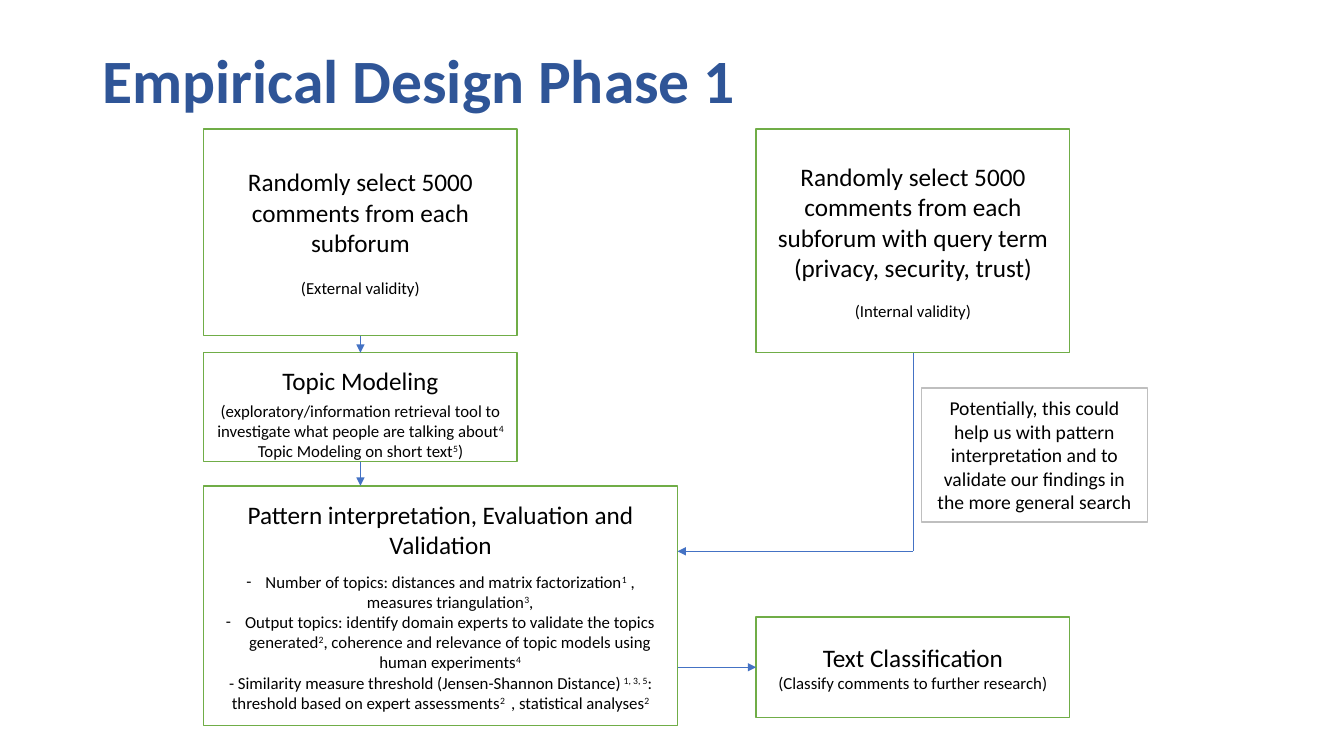
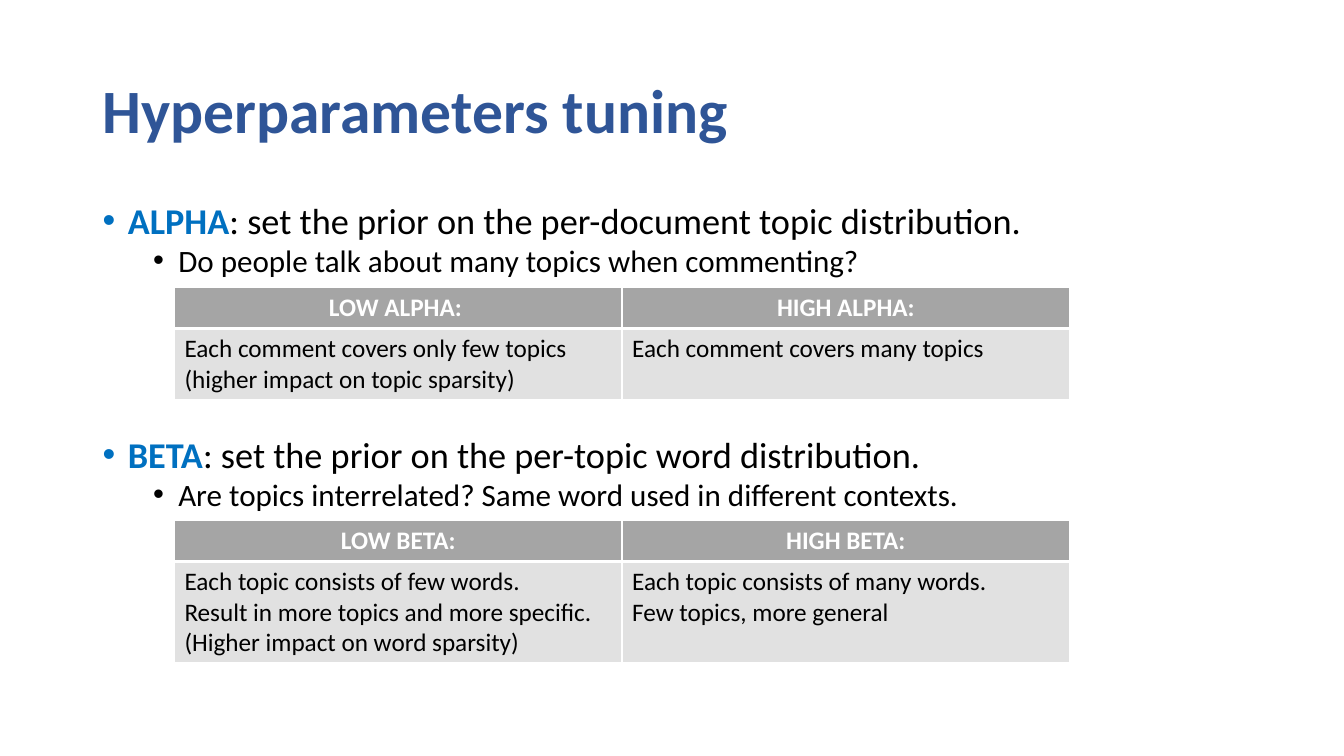
from dataclasses import dataclass

from lxml.etree import SubElement
from pptx import Presentation
from pptx.dml.color import RGBColor
from pptx.enum.shapes import MSO_CONNECTOR, MSO_SHAPE
from pptx.enum.text import MSO_ANCHOR, PP_ALIGN
from pptx.oxml import parse_xml
from pptx.oxml.ns import nsdecls, qn
from pptx.util import Inches, Pt

FONT = "Calibri"
BLACK = RGBColor(0x00, 0x00, 0x00)
WHITE = RGBColor(0xFF, 0xFF, 0xFF)
TITLE_BLUE = RGBColor(0x2F, 0x55, 0x97)
TERM_BLUE = RGBColor(0x00, 0x70, 0xC0)
ARROW_BLUE = RGBColor(0x44, 0x72, 0xC4)
GREEN = RGBColor(0x70, 0xAD, 0x47)
NOTE_GREY = RGBColor(0xBF, 0xBF, 0xBF)
HEAD_GREY = RGBColor(0xA5, 0xA5, 0xA5)
CELL_GREY = RGBColor(0xE1, 0xE1, 0xE1)


@dataclass
class Para:
    """Text between ^ marks is superscript; term is a bold blue lead-in."""
    text: str
    size: float = 12
    before: float = 0
    term: str = ""
    bullet: str = ""
    bullet_font: str = FONT
    margin: float = 0
    hang: float = 0
    spacing: float = 1.0
    align: PP_ALIGN = PP_ALIGN.CENTER
    color: RGBColor = BLACK
    bold: bool = False


@dataclass
class Box:
    left: float
    top: float
    width: float
    height: float
    paras: list[Para]
    line: RGBColor = GREEN
    inset_top: float = 0.05
    inset_bottom: float = 0.05


@dataclass
class Line:
    x1: float
    y1: float
    x2: float
    y2: float
    arrow: bool = True


@dataclass
class Grid:
    top: float
    body_height: float
    heads: list[str]
    cells: list[list[str]]


# Text
def add_run(p, text: str, para: Para, color: RGBColor, bold: bool):
    r = p.add_run()
    r.text = text
    r.font.name, r.font.size = FONT, Pt(para.size)
    r.font.color.rgb, r.font.bold = color, bold
    return r


def fill_text(tf, paras: list[Para]) -> None:
    tf.word_wrap = True
    for i, para in enumerate(paras):
        p = tf.add_paragraph() if i else tf.paragraphs[0]
        p.alignment, p.line_spacing = para.align, para.spacing
        p.space_before = Pt(para.before)
        if para.bullet:
            pPr = p._p.get_or_add_pPr()
            pPr.set("marL", str(Inches(para.margin)))
            pPr.set("indent", str(-Inches(para.hang)))
            SubElement(pPr, qn("a:buFont")).set("typeface", para.bullet_font)
            SubElement(pPr, qn("a:buChar")).set("char", para.bullet)
        if para.term:
            add_run(p, para.term, para, TERM_BLUE, True)
        for n, part in enumerate(para.text.split("^")):
            if part:
                r = add_run(p, part, para, para.color, para.bold)
                if n % 2:
                    r._r.get_or_add_rPr().set("baseline", "30000")


def add_text(s, left: float, top: float, width: float, height: float,
             paras: list[Para], anchor=MSO_ANCHOR.TOP) -> None:
    tb = s.shapes.add_textbox(Inches(left), Inches(top), Inches(width), Inches(height))
    tb.text_frame.vertical_anchor = anchor
    fill_text(tb.text_frame, paras)


def add_titled_slide(prs, title: str, top: float):
    s = prs.slides.add_slide(prs.slide_layouts[6])
    add_text(s, 0.92, top, 11.5, 1.45,
             [Para(title, 44, spacing=0.9, align=PP_ALIGN.LEFT, color=TITLE_BLUE, bold=True)],
             MSO_ANCHOR.MIDDLE)
    return s


# Flow chart parts
def draw_box(s, box: Box) -> None:
    sp = s.shapes.add_shape(MSO_SHAPE.RECTANGLE, Inches(box.left), Inches(box.top),
                            Inches(box.width), Inches(box.height))
    sp.shadow.inherit = False
    sp.fill.solid()
    sp.fill.fore_color.rgb = WHITE
    sp.line.color.rgb, sp.line.width = box.line, Pt(1)
    tf = sp.text_frame
    tf.vertical_anchor = MSO_ANCHOR.MIDDLE
    tf.margin_top, tf.margin_bottom = Inches(box.inset_top), Inches(box.inset_bottom)
    fill_text(tf, box.paras)


def draw_line(s, line: Line) -> None:
    c = s.shapes.add_connector(MSO_CONNECTOR.STRAIGHT, Inches(line.x1), Inches(line.y1),
                               Inches(line.x2), Inches(line.y2))
    c.line.color.rgb, c.line.width = ARROW_BLUE, Pt(0.5)
    if line.arrow:
        SubElement(c.line._get_or_add_ln(), qn("a:tailEnd")).set("type", "triangle")
    SubElement(c._element.spPr, qn("a:effectLst"))


# Tables
def style_cell(cell, fill: RGBColor, bottom: float, top: float) -> None:
    cell.fill.solid()
    cell.fill.fore_color.rgb = fill
    tcPr = cell._tc.get_or_add_tcPr()
    for i, (side, width) in enumerate((("L", 1), ("R", 1), ("T", top), ("B", bottom))):
        tcPr.insert(i, parse_xml(
            f'<a:ln{side} {nsdecls("a")} w="{Pt(width)}"><a:solidFill>'
            f'<a:srgbClr val="{WHITE}"/></a:solidFill></a:ln{side}>'))


def draw_grid(s, grid: Grid) -> None:
    heights = (0.41, grid.body_height)
    table = s.shapes.add_table(2, 2, Inches(1.73), Inches(grid.top),
                               Inches(8.88), Inches(sum(heights))).table
    for row, height in zip(table.rows, heights):
        row.height = Inches(height)
    for i, (head, lines) in enumerate(zip(grid.heads, grid.cells)):
        table.columns[i].width = Inches(4.44)
        top, body = table.cell(0, i), table.cell(1, i)
        fill_text(top.text_frame, [Para(head, 18, color=WHITE, bold=True)])
        fill_text(body.text_frame, [Para(t, 18, align=PP_ALIGN.LEFT) for t in lines])
        style_cell(top, HEAD_GREY, bottom=3, top=1)
        style_cell(body, CELL_GREY, bottom=1, top=3)


# Content
LEFT, RIGHT, WIDTH = 2.02, 7.5, 3.11
LEFT_MID, RIGHT_MID = LEFT + WIDTH / 2, RIGHT + WIDTH / 2
PATTERN_WIDTH = 4.7
PATTERN_EDGE = LEFT + PATTERN_WIDTH


def dash(text: str, before: float = 0) -> Para:
    return Para(text, before=before, bullet="-", margin=0.19, hang=0.19)


BOXES = [
    Box(LEFT, 1.28, WIDTH, 2.05, [
        Para("Randomly select 5000 comments from each subforum", 18),
        Para("(External validity)", before=14.6)]),
    Box(RIGHT, 1.28, WIDTH, 2.22, [
        Para("Randomly select 5000 comments from each subforum with query term "
             "(privacy, security, trust)", 18),
        Para("(Internal validity)", before=12.8)]),
    Box(LEFT, 3.5, WIDTH, 1.08, [
        Para("Topic Modeling", 18),
        Para("(exploratory/information retrieval tool to investigate what people "
             "are talking about^4^", before=3.7),
        Para("Topic Modeling on short text^5^)")], inset_top=0.12, inset_bottom=0),
    Box(RIGHT, 6.12, WIDTH, 1, [
        Para("Text Classification", 18),
        Para("(Classify comments to further research)")]),
    Box(LEFT, 4.82, PATTERN_WIDTH, 2.38, [
        Para("Pattern interpretation, Evaluation and Validation", 18),
        dash("Number of topics: distances and matrix factorization^1^ , "
             "measures triangulation^3^,", before=8.5),
        dash("Output topics: identify domain experts to validate the topics generated^2^, "
             "coherence and relevance of topic models using human experiments^4^"),
        Para("- Similarity measure threshold (Jensen-Shannon Distance)^ 1, 3, 5^: threshold "
             "based on expert assessments^2 ^ , statistical analyses^2^")]),
    Box(9.14, 3.85, 2.24, 1.33, [
        Para("Potentially, this could help us with pattern interpretation and to validate "
             "our findings in the more general search", 14)], line=NOTE_GREY),
]
LINES = [
    Line(LEFT_MID, 3.33, LEFT_MID, 3.5),
    Line(LEFT_MID, 4.58, LEFT_MID, 4.82),
    Line(RIGHT_MID, 3.5, RIGHT_MID, 5.47, arrow=False),
    Line(RIGHT_MID, 5.47, PATTERN_EDGE, 5.47),
    Line(PATTERN_EDGE, 6.62, RIGHT, 6.62),
]


def term_point(term: str, text: str, before: float) -> Para:
    return Para(text, 25.9, before, term, "•", "Arial", 0.25, 0.25, 0.8, PP_ALIGN.LEFT)


def sub_point(text: str) -> Para:
    return Para(text, 22.2, 5, "", "•", "Arial", 0.75, 0.25, 0.8, PP_ALIGN.LEFT)


POINTS = [
    term_point("ALPHA", ": set the prior on the per-document topic distribution.", 10),
    sub_point("Do people talk about many topics when commenting?"),
    term_point("BETA", ": set the prior on the per-topic word distribution.", 116),
    sub_point("Are topics interrelated? Same word used in different contexts."),
]
GRIDS = [
    Grid(2.85, 0.7, ["LOW ALPHA: ", "HIGH ALPHA:"], [
        ["Each comment covers only few topics (higher impact on topic sparsity)"],
        ["Each comment covers many topics"]]),
    Grid(5.16, 1, ["LOW BETA:", "HIGH BETA:"], [
        ["Each topic consists of few words.", "Result in more topics and more specific.",
         "(Higher impact on word sparsity)"],
        ["Each topic consists of many words.", "Few topics, more general"]]),
]


def main() -> None:
    prs = Presentation()
    prs.slide_width, prs.slide_height = Inches(13.33), Inches(7.5)

    # Slide 1: flow chart
    s = add_titled_slide(prs, "Empirical Design Phase 1", 0.1)
    for box in BOXES:
        draw_box(s, box)
    for line in LINES:
        draw_line(s, line)

    # Slide 2: bullets and tables
    s = add_titled_slide(prs, "Hyperparameters tuning", 0.4)
    add_text(s, 0.92, 2, 11.5, 4.76, POINTS)
    for grid in GRIDS:
        draw_grid(s, grid)

    prs.save("out.pptx")


if __name__ == "__main__":
    main()
